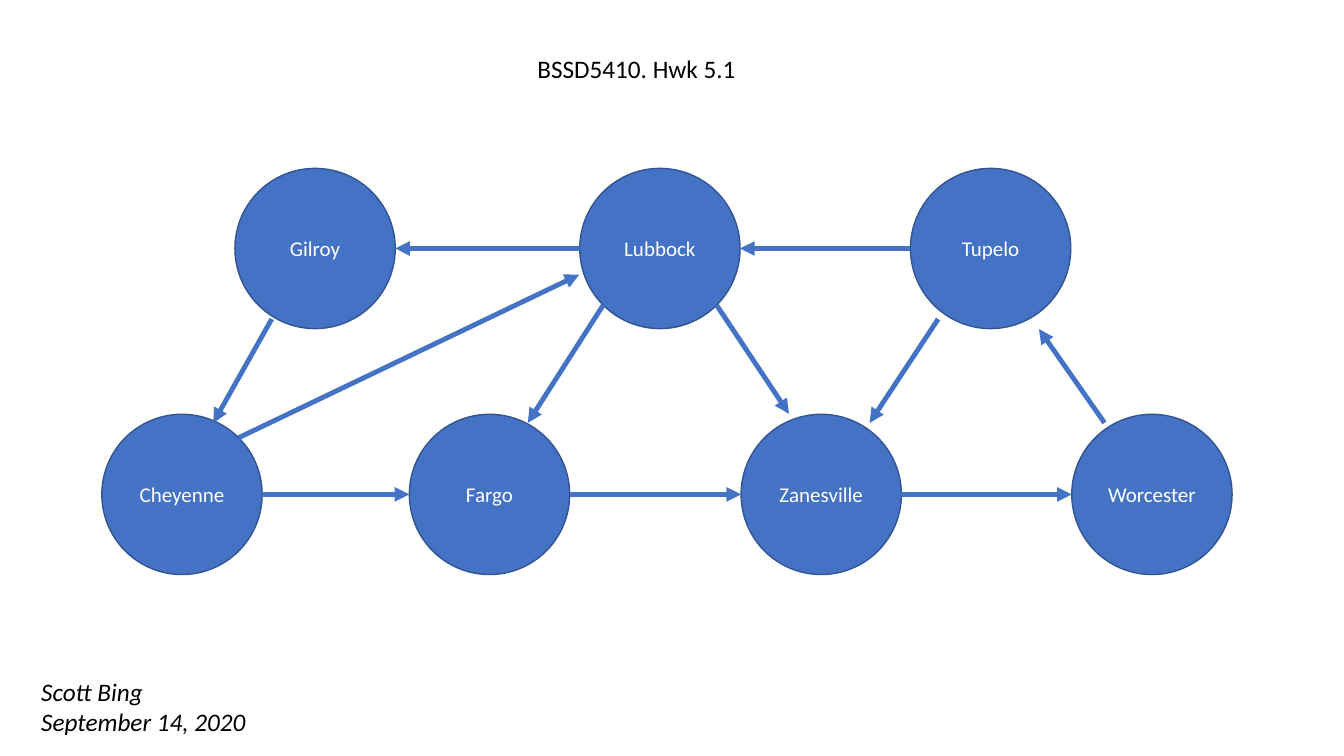
import math

from lxml import etree
from pptx import Presentation
from pptx.dml.color import RGBColor
from pptx.enum import shapes, text
from pptx.oxml.ns import qn
from pptx.util import Inches, Pt

COLORS = {"city": "4472C4", "outline": "325491", "label": "FFFFFF", "ink": "000000"}
FONT = "Calibri"
DIAMETER = 1.59
ROW_GAP = 2.44

# City: left offset within the map, row
CITIES = {
    "Lubbock": (4.74, 0),
    "Gilroy": (1.32, 0),
    "Fargo": (3.05, 1),
    "Zanesville": (6.34, 1),
    "Cheyenne": (0, 1),
    "Tupelo": (8.02, 0),
    "Worcester": (9.62, 1),
}

# Connection sites of an ellipse, counted counter-clockwise from the top
LEFT, LOWER_LEFT, LOWER_RIGHT, RIGHT, UPPER_RIGHT = 2, 3, 5, 6, 7

# Each end is a connection site or a free (x, y) offset from the city's centre
ROUTES = [
    ("Lubbock", LOWER_LEFT, "Fargo", (0.38, -0.71)),
    ("Lubbock", LOWER_RIGHT, "Zanesville", (-0.32, -0.8)),
    ("Lubbock", LEFT, "Gilroy", RIGHT),
    ("Gilroy", (-0.43, 0.7), "Cheyenne", (0.31, -0.71)),
    ("Cheyenne", RIGHT, "Fargo", LEFT),
    ("Cheyenne", UPPER_RIGHT, "Lubbock", (-0.8, 0.26)),
    ("Fargo", RIGHT, "Zanesville", LEFT),
    ("Tupelo", LEFT, "Lubbock", RIGHT),
    ("Tupelo", (-0.52, 0.7), "Zanesville", (0.48, -0.71)),
    ("Zanesville", RIGHT, "Worcester", LEFT),
    ("Worcester", (-0.47, -0.71), "Tupelo", (0.48, 0.8)),
]


def rgb(name):
    return RGBColor.from_string(COLORS[name])


def write(paragraph, words, size, color, italic=False):
    run = paragraph.add_run()
    run.text = words
    run.font.name = FONT
    run.font.size = Pt(size)
    run.font.italic = italic
    run.font.color.rgb = rgb(color)


def add_heading(slide, left, top, width, height):
    heading = slide.shapes.title
    heading.left, heading.top = Inches(left), Inches(top)
    heading.width, heading.height = Inches(width), Inches(height)
    frame = heading.text_frame
    frame.word_wrap = True
    frame.auto_size = text.MSO_AUTO_SIZE.NONE
    frame.vertical_anchor = text.MSO_ANCHOR.TOP
    paragraph = frame.paragraphs[0]
    paragraph.alignment = text.PP_ALIGN.LEFT
    write(paragraph, "BSSD5410. Hwk 5.1", 18, "ink")


def add_city(slide, name, left, top):
    city = slide.shapes.add_shape(
        shapes.MSO_SHAPE.OVAL, Inches(left), Inches(top),
        Inches(DIAMETER), Inches(DIAMETER))
    city.shadow.inherit = False
    city.fill.solid()
    city.fill.fore_color.rgb = rgb("city")
    city.line.color.rgb = rgb("outline")
    city.line.width = Pt(1)
    frame = city.text_frame
    frame.word_wrap = True
    frame.margin_left = frame.margin_right = Inches(0.02)
    frame.vertical_anchor = text.MSO_ANCHOR.MIDDLE
    paragraph = frame.paragraphs[0]
    paragraph.alignment = text.PP_ALIGN.CENTER
    write(paragraph, name, 15, "label")
    return city


def end_point(city, end):
    """Return the point on the slide for a connection site or a free offset."""
    if isinstance(end, int):
        angle = math.radians(90 + 45 * end)
        dx, dy = (DIAMETER / 2 * math.cos(angle), -DIAMETER / 2 * math.sin(angle))
    else:
        dx, dy = end
    return (city.left + city.width // 2 + Inches(dx),
            city.top + city.height // 2 + Inches(dy))


def add_route(slide, origin, exit_end, target, entry_end):
    route = slide.shapes.add_connector(
        shapes.MSO_CONNECTOR.STRAIGHT,
        *end_point(origin, exit_end), *end_point(target, entry_end))
    route.line.color.rgb = rgb("city")
    route.line.width = Pt(3.5)
    etree.SubElement(route.line._get_or_add_ln(), qn("a:tailEnd"), type="triangle")
    etree.SubElement(route._element.spPr, qn("a:effectLst"))
    glue = route._element.nvCxnSpPr.cNvCxnSpPr
    for tag, city, end in (("a:stCxn", origin, exit_end), ("a:endCxn", target, entry_end)):
        if isinstance(end, int):
            etree.SubElement(glue, qn(tag), id=str(city.shape_id), idx=str(end))


def add_city_map(slide, left, top):
    cities = {name: add_city(slide, name, left + x, top + row * ROW_GAP)
              for name, (x, row) in CITIES.items()}
    for origin, exit_end, target, entry_end in ROUTES:
        add_route(slide, cities[origin], exit_end, cities[target], entry_end)


def add_signature(slide, left, top, width, height):
    signature = slide.shapes.add_textbox(
        Inches(left), Inches(top), Inches(width), Inches(height))
    frame = signature.text_frame
    frame.word_wrap = True
    write(frame.paragraphs[0], "Scott Bing", 18, "ink", italic=True)
    write(frame.add_paragraph(), "September 14, 2020", 18, "ink", italic=True)


def main():
    deck = Presentation()
    deck.slide_width, deck.slide_height = Inches(13.33), Inches(7.5)
    slide = deck.slides.add_slide(deck.slide_layouts.get_by_name("Title Only"))
    add_heading(slide, 5.23, 0.48, 2.54, 0.4)
    add_city_map(slide, 1.01, 1.67)
    add_signature(slide, 0.31, 6.66, 3.76, 0.71)
    deck.save("out.pptx")


if __name__ == "__main__":
    main()
